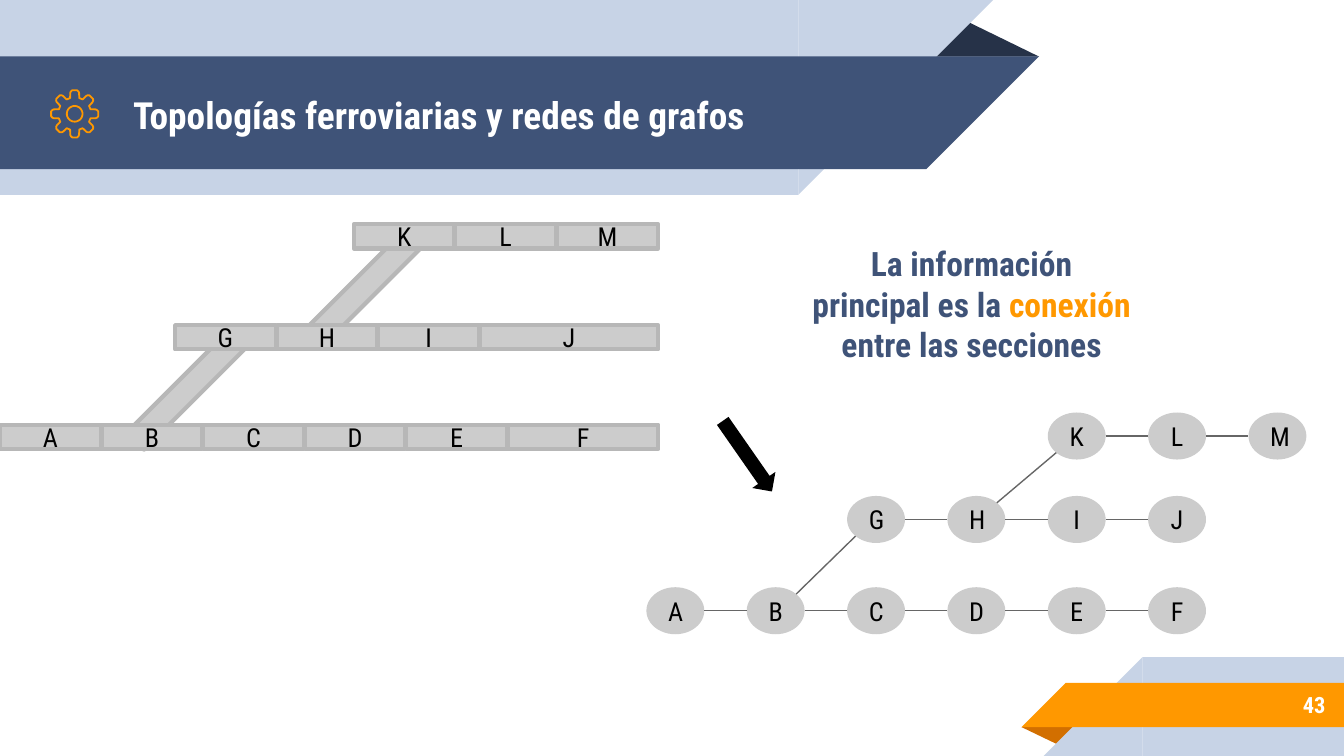
import math
from dataclasses import dataclass

from lxml import etree
from pptx import Presentation
from pptx.dml.color import RGBColor
from pptx.enum import shapes, text
from pptx.oxml import ns
from pptx.util import Pt

FONT = "Roboto Condensed"
NAVY, DARK_NAVY, PALE_BLUE = "3F5378", "263248", "C7D3E6"
ORANGE, DARK_ORANGE = "FF9800", "D26F00"
GREY, MID_GREY, DARK_GREY = "CCCCCC", "B7B7B7", "666666"
WHITE, BLACK = "FFFFFF", "000000"
KIND = shapes.MSO_SHAPE
LEFT, CENTER, RIGHT = text.PP_ALIGN.LEFT, text.PP_ALIGN.CENTER, text.PP_ALIGN.RIGHT


@dataclass
class Box:
    left: float
    top: float
    width: float
    height: float

    def in_points(self) -> list:
        return [Pt(value) for value in (self.left, self.top, self.width, self.height)]


@dataclass
class Piece:
    kind: KIND
    box: Box
    fill: str
    rotation: float = 0
    apex: float | None = None
    outline: str | None = None


@dataclass
class Run:
    words: str
    size: float
    colour: str
    bold: bool = True


@dataclass
class Row:
    letters: str
    track_left: float
    track_top: float
    first_column: int
    node_top: float


def rgb(colour: str) -> RGBColor:
    return RGBColor.from_string(colour)


def write(shape, runs: list[Run], align) -> None:
    frame = shape.text_frame
    frame.word_wrap = True
    frame.vertical_anchor = text.MSO_ANCHOR.MIDDLE
    frame.margin_left = frame.margin_right = Pt(7.2)
    frame.margin_top = frame.margin_bottom = Pt(7.2)
    paragraph = frame.paragraphs[0]
    paragraph.alignment = align
    for item in runs:
        run = paragraph.add_run()
        run.text = item.words
        run.font.name = FONT
        run.font.size = Pt(item.size)
        run.font.bold = item.bold
        run.font.color.rgb = rgb(item.colour)


def add_text(slide, box: Box, runs: list[Run], align) -> None:
    write(slide.shapes.add_textbox(*box.in_points()), runs, align)


def add_piece(slide, piece: Piece, letter: str = "") -> None:
    shape = slide.shapes.add_shape(piece.kind, *piece.box.in_points())
    shape.shadow.inherit = False
    shape.rotation = piece.rotation
    if piece.apex is not None:
        shape.adjustments[0] = piece.apex
    shape.fill.solid()
    shape.fill.fore_color.rgb = rgb(piece.fill)
    if piece.outline:
        shape.line.color.rgb = rgb(piece.outline)
        shape.line.width = Pt(2.25)
    else:
        shape.line.fill.background()
    if letter:
        write(shape, [Run(letter, 14, BLACK, False)], CENTER)


def add_line(slide, start: tuple[float, float], end: tuple[float, float]) -> None:
    line = slide.shapes.add_connector(
        shapes.MSO_CONNECTOR.STRAIGHT, *[Pt(value) for value in (*start, *end)])
    line.line.color.rgb = rgb(DARK_GREY)
    line.line.width = Pt(0.75)
    etree.SubElement(line._element.spPr, ns.qn("a:effectLst"))


def add_gear(slide, x: float, y: float) -> None:
    def ring(polar: list[tuple[float, float]]) -> list[tuple[float, float]]:
        # Hundredths of a point keep the small outline precise
        return [(100 * (x + radius * math.sin(math.radians(angle))),
                 100 * (y - radius * math.cos(math.radians(angle))))
                for angle, radius in polar]

    half_tooth = [(6, 12.7), (10, 12.1), (12, 11.4), (16, 8.8)]
    tooth = [(-angle, radius) for angle, radius in reversed(half_tooth)] + half_tooth
    rim = ring([(45 * index + angle, radius)
                for index in range(8) for angle, radius in tooth])
    hole = ring([(angle, 4.2) for angle in range(0, 360, 10)])
    builder = slide.shapes.build_freeform(*rim[0], scale=Pt(1) / 100)
    builder.add_line_segments(rim[1:], close=True)
    builder.move_to(*hole[0])
    builder.add_line_segments(hole[1:], close=True)
    gear = builder.convert_to_shape()
    gear.shadow.inherit = False
    gear.fill.background()
    gear.line.color.rgb = rgb(ORANGE)
    gear.line.width = Pt(0.96)


# Ribbons of the header and the footer
RIBBONS = [
    Piece(KIND.ISOSCELES_TRIANGLE, Box(495.4, 10.1, 61.2, 20.2), DARK_NAVY, apex=0.324),
    Piece(KIND.RECTANGLE, Box(0, 0, 427.7, 104.4), PALE_BLUE),
    Piece(KIND.RIGHT_TRIANGLE, Box(427.7, 0, 104.4, 104.4), PALE_BLUE, 90),
    Piece(KIND.RECTANGLE, Box(0, 30.2, 496.1, 60.5), NAVY),
    Piece(KIND.RIGHT_TRIANGLE, Box(496.1, 30.2, 60.5, 60.5), NAVY, 90),
    Piece(KIND.ISOSCELES_TRIANGLE, Box(547.2, 389.5, 31, 10.1), DARK_ORANGE, 180, 0.324),
    Piece(KIND.RECTANGLE, Box(612, 352.1, 108, 52.9), PALE_BLUE),
    Piece(KIND.RIGHT_TRIANGLE, Box(559.1, 352.1, 52.9, 52.9), PALE_BLUE, 270),
    Piece(KIND.RECTANGLE, Box(571, 365.8, 149, 23.8), ORANGE),
    Piece(KIND.RIGHT_TRIANGLE, Box(547.2, 365.8, 23.8, 23.8), ORANGE, 270),
]
RAMPS = [Piece(KIND.RECTANGLE, Box(left, top, 77.8, 13), GREY, 315, outline=MID_GREY)
         for left, top in [(155.5, 148.3), (61.2, 202.3)]]
ROWS = [
    Row("ABCDEF", 0, 227.5, 0, 314.6),
    Row("GHIJ", 93.8, 174.2, 2, 265.7),
    Row("KLM", 189.5, 120.2, 4, 221),
]
SECTION_PITCH, SECTION_WIDTH, TRACK_END = 54.4, 54, 352.7
NODE_LEFT, NODE_PITCH, NODE_WIDTH, NODE_HEIGHT = 346.3, 53.76, 31, 25.2


def add_track(slide, row: Row) -> None:
    for index, letter in enumerate(row.letters):
        left = row.track_left + index * SECTION_PITCH
        is_last = index == len(row.letters) - 1
        width = TRACK_END - left if is_last else SECTION_WIDTH
        add_piece(slide, Piece(KIND.RECTANGLE, Box(left, row.track_top, width, 13),
                               GREY, outline=MID_GREY), letter)


def add_graph(slide) -> None:
    centres = {}
    for row in ROWS:
        for index, letter in enumerate(row.letters):
            left = NODE_LEFT + (row.first_column + index) * NODE_PITCH
            box = Box(left, row.node_top, NODE_WIDTH, NODE_HEIGHT)
            add_piece(slide, Piece(KIND.OVAL, box, GREY), letter)
            centres[letter] = (left + NODE_WIDTH / 2, row.node_top + NODE_HEIGHT / 2)
        for first, second in zip(row.letters, row.letters[1:]):
            (x1, y1), (x2, y2) = centres[first], centres[second]
            add_line(slide, (x1 + NODE_WIDTH / 2, y1), (x2 - NODE_WIDTH / 2, y2))
    # Links between rows run from upper right to lower left of the ovals
    dx, dy = (size / 2 * math.sqrt(0.5) for size in (NODE_WIDTH, NODE_HEIGHT))
    for lower, upper in ["BG", "HK"]:
        (x1, y1), (x2, y2) = centres[lower], centres[upper]
        add_line(slide, (x1 + dx, y1 - dy), (x2 - dx, y2 + dy))


def main() -> None:
    presentation = Presentation()
    presentation.slide_width, presentation.slide_height = Pt(720), Pt(405)
    slide = presentation.slides.add_slide(presentation.slide_layouts[6])

    for piece in RIBBONS + RAMPS:
        add_piece(slide, piece)

    # Title, page number and message
    add_text(slide, Box(64.2, 31, 432.7, 60.5),
             [Run("Topologías ferroviarias y redes de grafos", 20, WHITE)], LEFT)
    add_text(slide, Box(599.8, 365, 117.4, 25.2), [Run("43", 12, WHITE)], RIGHT)
    add_gear(slide, 40, 61)
    add_text(slide, Box(426.2, 132.5, 188.6, 60.5),
             [Run("La información principal es la ", 18, NAVY),
              Run("conexión", 18, ORANGE),
              Run(" entre las secciones", 18, NAVY)], CENTER)

    # Railway tracks, arrow and the graph they become
    for row in ROWS:
        add_track(slide, row)
    add_piece(slide, Piece(KIND.RIGHT_ARROW, Box(377.3, 236.9, 46.1, 15.1), BLACK, 55.1))
    add_graph(slide)
    presentation.save("out.pptx")


if __name__ == "__main__":
    main()
